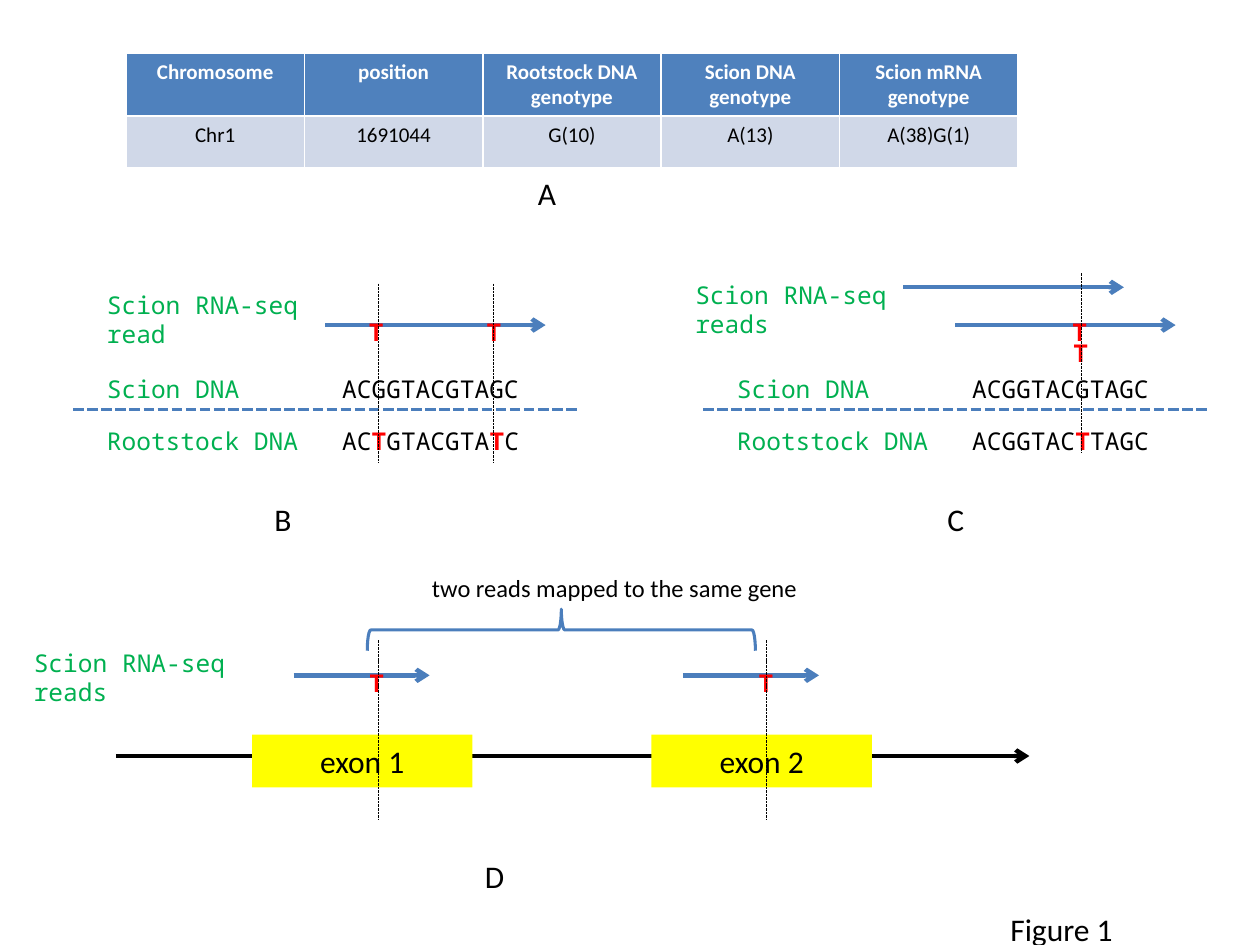
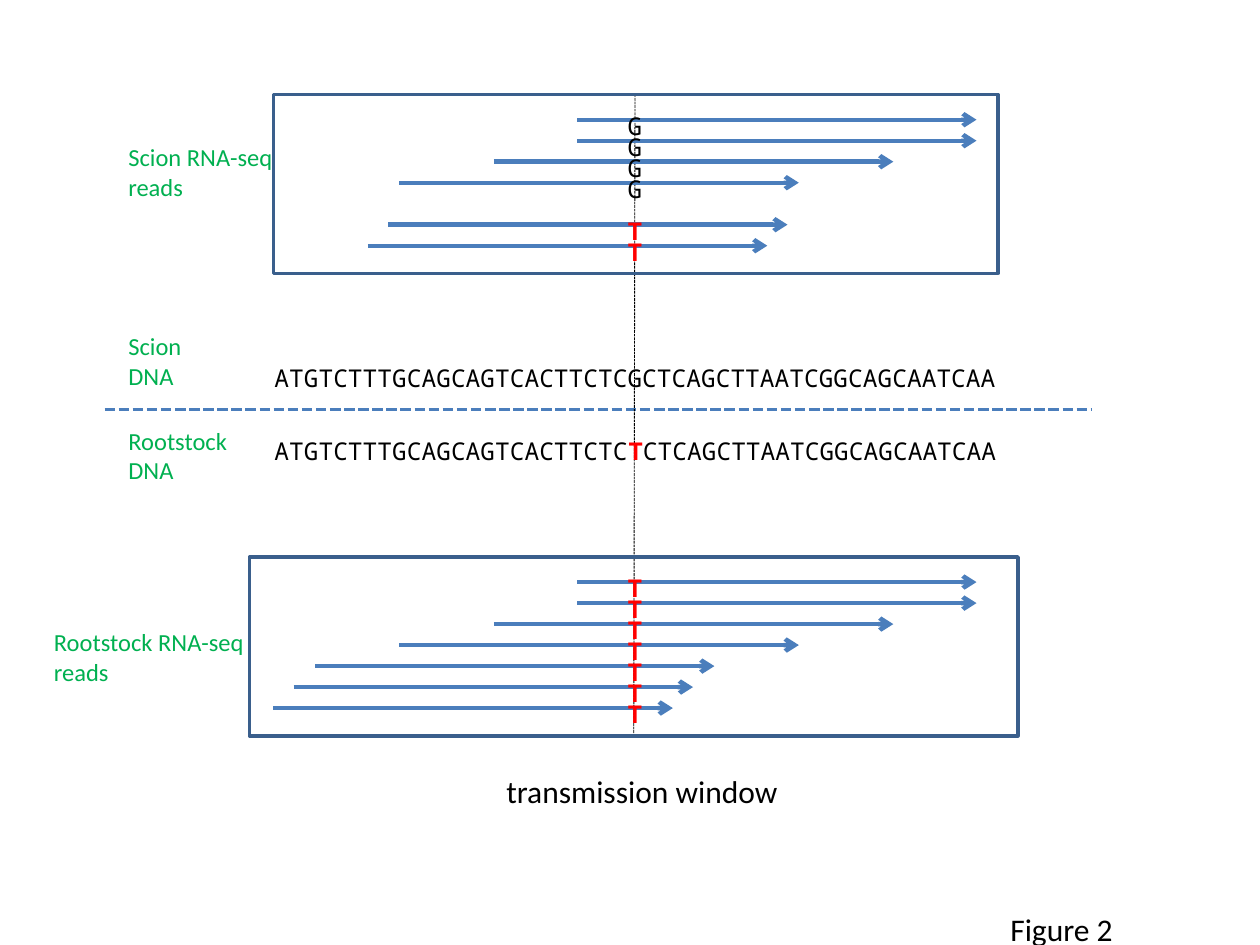
from lxml import etree
from pptx import Presentation
from pptx.dml.color import RGBColor
from pptx.enum.dml import MSO_LINE
from pptx.enum.shapes import MSO_CONNECTOR, MSO_SHAPE
from pptx.enum.text import MSO_ANCHOR, PP_ALIGN
from pptx.oxml.ns import qn
from pptx.util import Inches, Pt

STRAIGHT = MSO_CONNECTOR.STRAIGHT
RECTANGLE, BRACE = MSO_SHAPE.RECTANGLE, MSO_SHAPE.LEFT_BRACE
DASHED = MSO_LINE.SQUARE_DOT
MIDDLE = MSO_ANCHOR.MIDDLE
CENTER = PP_ALIGN.CENTER

BLACK, WHITE, RED, GREEN = "000000", "FFFFFF", "FF0000", "00B050"
BLUE, FRAME_BLUE, YELLOW = "4B7EBC", "3A5F8C", "FFFF00"
HEADER_BLUE, ROW_BLUE = "4F81BD", "D0D8E8"
SANS, MONO = "Calibri", "Noto Sans Mono"
BASE_WIDTH = 0.1167
SEQUENCE_TAB = 16 * BASE_WIDTH
MARKER_INDENT = 5 * BASE_WIDTH

GENOTYPES = [
    ("Chromosome", "position", "Rootstock DNA genotype",
     "Scion DNA genotype", "Scion mRNA genotype"),
    ("Chr1", "1691044", "G(10)", "A(13)", "A(38)G(1)"),
]
GENOTYPE_STYLES = [(0.5, HEADER_BLUE, WHITE, True), (0.41, ROW_BLUE, BLACK, False)]

PANEL_LETTERS = [("A", 4.17, 1.33), ("B", 2.08, 3.92), ("C", 7.42, 3.92), ("D", 3.75, 6.75)]

ALIGNMENTS = [
    {"left": 0.75, "rootstock": "AC*T*GTACGTA*T*C", "marker": "*T*\t*T*",
     "indent": 0, "reads": "Scion RNA-seq\nread", "reads_at": (0.75, 2.25)},
    {"left": 5.75, "rootstock": "ACGGTAC*T*TAGC", "marker": "*T*",
     "indent": MARKER_INDENT, "reads": "Scion RNA-seq\nreads", "reads_at": (5.42, 2.17)},
]
SCION = "ACGGTACGTAGC"
SNP_LINES = [(3, 2.25), (3.92, 2.25), (8.58, 2.17), (3, 5.08), (6.08, 5.08)]
EXONS = [("exon 1", 2, 2.33), ("exon 2", 5.17, 5.42)]

TRANSMISSION_DNA = [
    ("Rootstock\nDNA", 3.33, "ATGTCTTTGCAGCAGTCACTTCTC*T*CTCAGCTTAATCGGCAGCAATCAA", 3.41),
    ("Scion\nDNA", 2.58, "ATGTCTTTGCAGCAGTCACTTCTCGCTCAGCTTAATCGGCAGCAATCAA", 2.83),
]
READ_GROUPS = [
    {"label": "Rootstock RNA-seq\nreads", "label_at": (0.33, 4.93),
     "frame": (1.98, 4.42, 6.1, 1.42),
     "reads": [(0, 4.58, "*T*"), (1, 4.58, "*T*"), (2, 3.92, "*T*"), (3, 3.17, "*T*"),
               (4, 2.5, "*T*"), (5, 2.33, "*T*"), (6, 2.17, "*T*")]},
    {"label": "Scion RNA-seq\nreads", "label_at": (0.92, 1.08),
     "frame": (2.17, 0.75, 5.75, 1.42),
     "reads": [(0, 4.58, "G"), (1, 4.58, "G"), (2, 3.92, "G"), (3, 3.17, "G"),
               (5, 3.08, "*T*"), (6, 2.92, "*T*")]},
]
READ_LENGTH = 3.17
READ_PITCH = 1 / 6


def rgb(value):
    return RGBColor.from_string(value)


def inches(*lengths):
    return [Inches(length) for length in lengths]


def write(frame, content, font, size, color, tab=None, indent=0, align=None):
    frame.word_wrap = True
    for number, line in enumerate(content.split("\n")):
        paragraph = frame.add_paragraph() if number else frame.paragraphs[0]
        paragraph.font.name, paragraph.font.size = font, Pt(size)
        if align is not None:
            paragraph.alignment = align
        properties = paragraph._p.get_or_add_pPr()
        if indent:
            properties.set("marL", str(Inches(indent)))
            properties.set("indent", "0")
        if tab:
            stops = etree.Element(qn("a:tabLst"))
            etree.SubElement(stops, qn("a:tab"), pos=str(Inches(tab)), algn="l")
            properties.insert(0, stops)
        for position, part in enumerate(line.split("*")):
            if not part:
                continue
            mutated = position % 2 == 1
            run = paragraph.add_run()
            run.text = part
            run.font.bold = mutated
            run.font.color.rgb = rgb(RED if mutated else color)


def add_text(slide, at, content, font=MONO, size=14, color=BLACK, **layout):
    box = slide.shapes.add_textbox(*inches(*at))
    write(box.text_frame, content, font, size, color, **layout)


def add_dna(slide, left, top, name, sequence):
    box = slide.shapes.add_textbox(*inches(left, top, 5.58, 0.34))
    write(box.text_frame, f"{name}\t{sequence}", MONO, 14, BLACK, tab=SEQUENCE_TAB)
    box.text_frame.paragraphs[0].runs[0].text = name
    box.text_frame.paragraphs[0].runs[0].font.color.rgb = rgb(GREEN)
    return box


def add_line(slide, start, end, color=BLUE, width=2.5, dashed=False, arrow=False):
    line = slide.shapes.add_connector(STRAIGHT, *inches(*start, *end))
    line.line.color.rgb = rgb(color)
    line.line.width = Pt(width)
    if dashed:
        line.line.dash_style = DASHED
    if arrow:
        etree.SubElement(line.line._get_or_add_ln(), qn("a:tailEnd"), type="arrow")
    etree.SubElement(line._element.spPr, qn("a:effectLst"))


def add_read(slide, left, top, length, color=BLUE):
    add_line(slide, (left, top), (left + length, top), color, arrow=True)


def add_shape(slide, kind, at, fill=None, line=None, width=2):
    shape = slide.shapes.add_shape(kind, *inches(*at))
    shape.shadow.inherit = False
    if fill:
        shape.fill.solid()
        shape.fill.fore_color.rgb = rgb(fill)
    else:
        shape.fill.background()
    if line:
        shape.line.color.rgb = rgb(line)
        shape.line.width = Pt(width)
    else:
        shape.line.fill.background()
    return shape


def add_marker(slide, left, top, base, indent=MARKER_INDENT, tab=None):
    add_text(slide, (left, top, 1.33, 0.34), base, indent=indent, tab=tab)


def add_figure(deck, number):
    slide = deck.slides.add_slide(deck.slide_layouts[6])
    add_text(slide, (7.92, 7.17, 2.08, 0.4), f"Figure {number}", SANS, 18)
    return slide


def add_genotypes(slide):
    table = slide.shapes.add_table(2, 5, *inches(1, 0.42, 7.08, 0.91)).table
    table.horz_banding = False
    for column in table.columns:
        column.width = Inches(7.08 / 5)
    for row, texts, (height, fill, color, bold) in zip(table.rows, GENOTYPES, GENOTYPE_STYLES):
        row.height = Inches(height)
        for cell, content in zip(row.cells, texts):
            cell.fill.solid()
            cell.fill.fore_color.rgb = rgb(fill)
            write(cell.text_frame, content, SANS, 12, color, align=CENTER)
            cell.text_frame.paragraphs[0].runs[0].font.bold = bold


def add_alignment(slide, panel):
    left = panel["left"]
    for name, top, sequence in (("Rootstock DNA", 3.33, panel["rootstock"]),
                                ("Scion DNA", 2.92, SCION)):
        box = add_dna(slide, left, top, name, "*" + "*" + sequence)
        first = box.text_frame.paragraphs[0].runs[0]
        first.text = name + "\t"
    add_read(slide, left + 1.83, 2.58, 1.75)
    add_line(slide, (left - 0.17, 3.25), (left + 3.83, 3.25), width=2, dashed=True)
    add_marker(slide, left + 2.08, 2.47, panel["marker"], panel["indent"], 8 * BASE_WIDTH)
    add_text(slide, (*panel["reads_at"], 2.5, 0.57), panel["reads"], color=GREEN)


def add_gene(slide):
    add_read(slide, 0.92, 6, 7.25, BLACK)
    for name, left, read_left in EXONS:
        exon = add_shape(slide, RECTANGLE, (left, 5.83, 1.75, 0.42), YELLOW)
        exon.text_frame.vertical_anchor = MIDDLE
        write(exon.text_frame, name, SANS, 18, BLACK, align=CENTER)
        add_read(slide, read_left, 5.36, 1.08)
        add_marker(slide, read_left - 0.08, 5.25, "*T*")
    add_text(slide, (0.17, 5.09, 2.5, 0.57), "Scion RNA-seq\nreads", color=GREEN)
    brace = add_shape(slide, BRACE, (4.29, 3.46, 0.33, 3.08), line=BLUE, width=1.75)
    brace.rotation = 90
    add_text(slide, (3.33, 4.5, 3.25, 0.34), "two reads mapped to the same gene", SANS)


def build_graft_figure(deck):
    slide = add_figure(deck, 1)
    add_genotypes(slide)
    for panel in ALIGNMENTS:
        add_alignment(slide, panel)
    add_read(slide, 7.17, 2.28, 1.75)
    add_text(slide, (8.42, 2.63, 0.5, 0.34), "*T*")
    add_gene(slide)
    for letter, left, top in PANEL_LETTERS:
        add_text(slide, (left, top, 0.83, 0.4), letter, SANS, 18)
    for left, top in SNP_LINES:
        add_line(slide, (left, top), (left, top + 1.42), BLACK, 0.5, dashed=True)


def build_window_figure(deck):
    slide = add_figure(deck, 2)
    add_line(slide, (0.83, 3.25), (8.67, 3.25), width=2, dashed=True)
    add_line(slide, (5.04, 0.75), (5.03, 5.84), BLACK, 0.5, dashed=True)
    for name, name_top, sequence, sequence_top in TRANSMISSION_DNA:
        add_text(slide, (0.92, name_top, 1.08, 0.57), name, SANS, color=GREEN)
        add_text(slide, (2.08, sequence_top, 6.58, 0.34), sequence)
    for group in READ_GROUPS:
        add_text(slide, (*group["label_at"], 3, 0.57), group["label"], SANS, color=GREEN)
        add_shape(slide, RECTANGLE, group["frame"], line=FRAME_BLUE)
        for row, left, base in group["reads"]:
            top = group["frame"][1] + 0.2 + row * READ_PITCH
            add_read(slide, left, top, READ_LENGTH)
            add_marker(slide, 4.3, top - 0.12, base)
    add_text(slide, (3.92, 6.08, 2.75, 0.4), "transmission window", SANS, 18)


def main():
    deck = Presentation()
    deck.slide_width, deck.slide_height = inches(10, 7.5)
    build_graft_figure(deck)
    build_window_figure(deck)
    deck.save("out.pptx")


if __name__ == "__main__":
    main()
